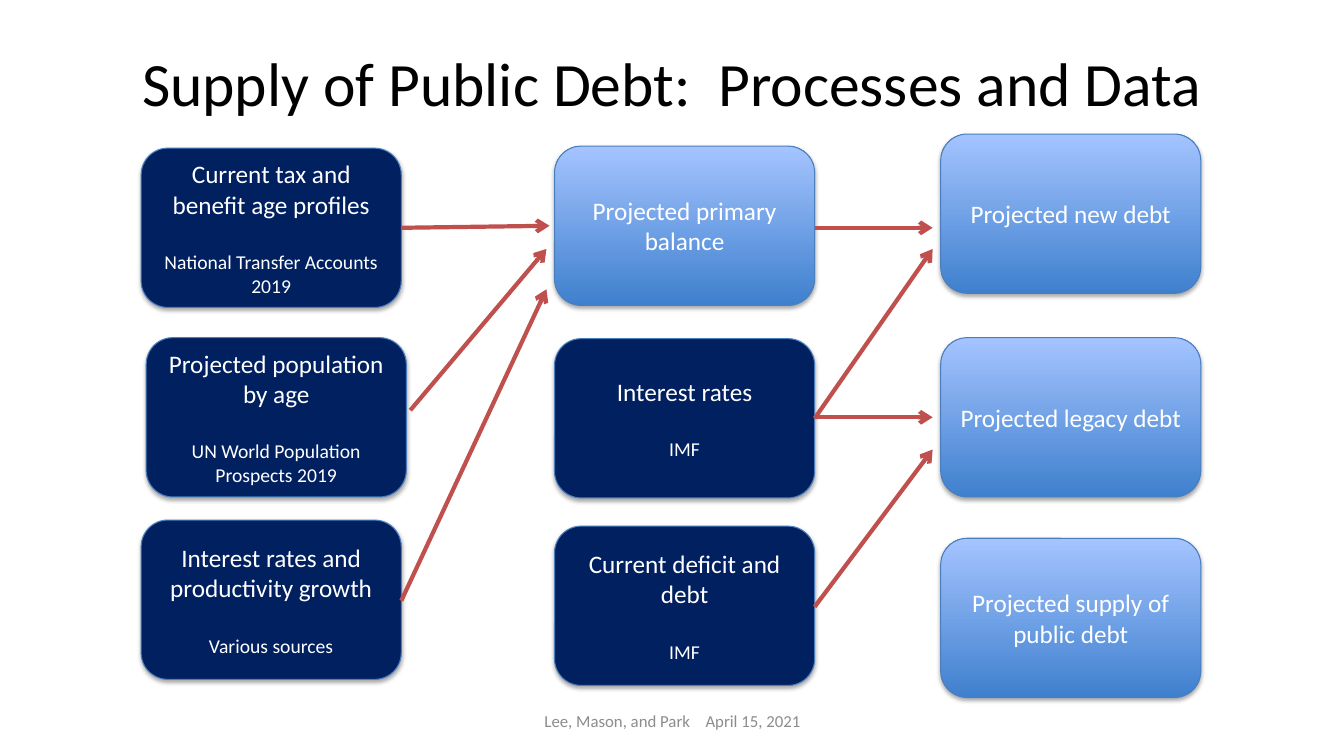
import pptx
import pptx.dml.color
import pptx.enum.shapes
import pptx.enum.text
import pptx.oxml
import pptx.oxml.ns
import pptx.util

Inches, Pt = pptx.util.Inches, pptx.util.Pt
MIDDLE = pptx.enum.text.MSO_ANCHOR.MIDDLE
CENTER = pptx.enum.text.PP_ALIGN.CENTER

TITLE = "Supply of Public Debt:  Processes and Data"
AUTHORS, DATE = "Lee, Mason, and Park", "April 15, 2021"

# Left, top, label, data source; data inputs have a source, projected results have none
BOXES = [
    (1.4, 1.47, "Current tax and benefit age profiles", "National Transfer Accounts 2019"),
    (1.45, 3.35, "Projected population by age", "UN World Population Prospects 2019"),
    (1.4, 5.16, "Interest rates and productivity growth", "Various sources"),
    (5.5, 1.45, "Projected primary balance", None),
    (5.5, 3.36, "Interest rates", "IMF"),
    (5.5, 5.22, "Current deficit and debt", "IMF"),
    (9.33, 1.33, "Projected new debt", None),
    (9.33, 3.35, "Projected legacy debt", None),
    (9.33, 5.34, "Projected supply of public debt", None),
]
BOX_WIDTH, BOX_HEIGHT = 2.58, 1.58

# Start and end points
ARROWS = [
    ((3.98, 2.26), (5.45, 2.24)),
    ((4.07, 4.07), (5.42, 2.47)),
    ((3.98, 5.96), (5.42, 2.87)),
    ((8.08, 2.26), (9.25, 2.26)),
    ((8.08, 4.15), (9.25, 2.47)),
    ((8.08, 4.14), (9.25, 4.14)),
    ((8.08, 6.02), (9.25, 4.46)),
]

NAVY, BLUE, LIGHT_BLUE, OUTLINE = "002060", "3F80CE", "A4C4FF", "4B7EBC"
RED, GRAY, BLACK, WHITE = "C0504D", "8C8C8C", "000000", "FFFFFF"

NS = pptx.oxml.ns.nsdecls("a")
SHADOW = (f'<a:outerShdw {NS} blurRad="{Pt(3.1)}" dist="{Pt(1.8)}" dir="5400000" rotWithShape="0">'
          f'<a:srgbClr val="{BLACK}"><a:alpha val="35000"/></a:srgbClr></a:outerShdw>')


def color(value):
    return pptx.dml.color.RGBColor.from_string(value)


def add_run(paragraph, text, size, font_color):
    paragraph.alignment = CENTER
    run = paragraph.add_run()
    run.text = text
    run.font.name = "Calibri"
    run.font.size = Pt(size)
    run.font.color.rgb = color(font_color)
    return run


def add_box(slide, left, top, label, source):
    box = slide.shapes.add_shape(
        pptx.enum.shapes.MSO_SHAPE.ROUNDED_RECTANGLE,
        Inches(left), Inches(top), Inches(BOX_WIDTH), Inches(BOX_HEIGHT))
    if source:
        box.fill.solid()
        box.fill.fore_color.rgb = color(NAVY)
    else:
        box.fill.gradient()
        box.fill.gradient_angle = 90
        for stop, position, shade in zip(box.fill.gradient_stops, (0, 1), (BLUE, LIGHT_BLUE)):
            stop.position = position
            stop.color.rgb = color(shade)
    box.line.color.rgb = color(OUTLINE)
    box.line.width = Pt(0.75)
    box.shadow.inherit = False
    effects = box._element.spPr.find(pptx.oxml.ns.qn("a:effectLst"))
    effects.append(pptx.oxml.parse_xml(SHADOW))

    frame = box.text_frame
    frame.word_wrap = True
    frame.vertical_anchor = MIDDLE
    add_run(frame.paragraphs[0], label, 18, WHITE)
    if source:
        source_line = frame.add_paragraph()
        source_line.space_before = Pt(22)
        add_run(source_line, source, 14, WHITE)


def add_arrow(slide, start, end):
    arrow = slide.shapes.add_connector(
        pptx.enum.shapes.MSO_CONNECTOR.STRAIGHT, *map(Inches, start + end))
    arrow.line.color.rgb = color(RED)
    arrow.line.width = Pt(3)
    arrow.line._get_or_add_ln().append(
        pptx.oxml.parse_xml(f'<a:tailEnd {NS} type="arrow"/>'))
    arrow._element.spPr.append(pptx.oxml.parse_xml(f"<a:effectLst {NS}/>"))


def add_footer(slide):
    footer = slide.shapes.add_textbox(Inches(4.56), Inches(6.95), Inches(4.22), Inches(0.4))
    frame = footer.text_frame
    frame.word_wrap = True
    frame.vertical_anchor = MIDDLE
    credit = frame.paragraphs[0]
    add_run(credit, AUTHORS, 12, GRAY)
    gap = add_run(credit, " ", 12, GRAY)
    gap.font._element.set("spc", "810")  # widens the space between authors and date
    add_run(credit, DATE, 12, GRAY)


def main():
    deck = pptx.Presentation()
    deck.slide_width, deck.slide_height = Inches(13.33), Inches(7.5)
    slide = deck.slides.add_slide(deck.slide_layouts[5])

    title = slide.shapes.title
    title.left, title.top = Inches(0.67), Inches(0.3)
    title.width, title.height = Inches(12), Inches(1.03)
    title.text_frame.vertical_anchor = MIDDLE
    add_run(title.text_frame.paragraphs[0], TITLE, 44, BLACK)

    for box in BOXES:
        add_box(slide, *box)
    for start, end in ARROWS:
        add_arrow(slide, start, end)
    add_footer(slide)
    deck.save("out.pptx")


if __name__ == "__main__":
    main()
